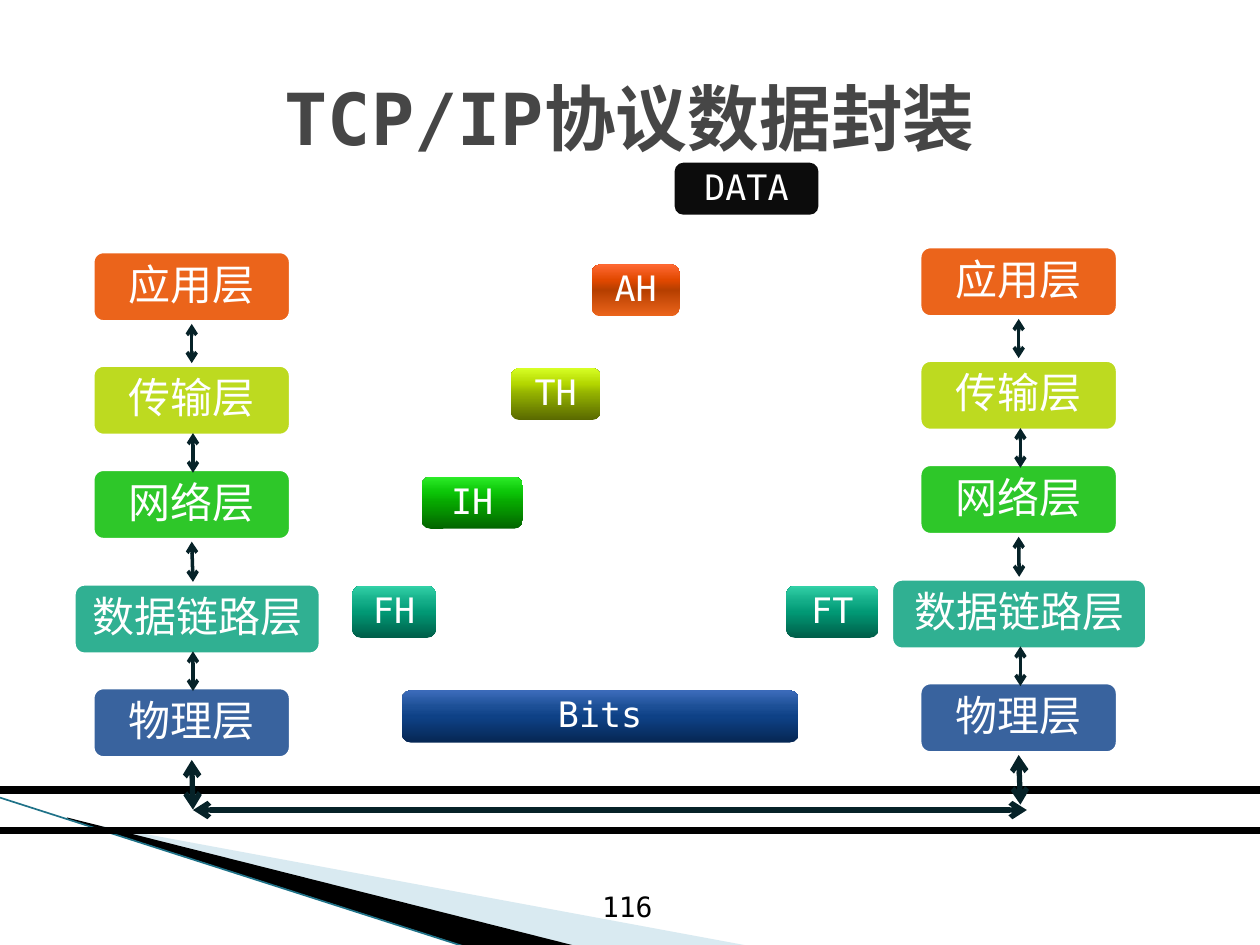
from lxml import etree
from pptx import Presentation
from pptx.dml.color import RGBColor
from pptx.enum.shapes import MSO_CONNECTOR, MSO_SHAPE
from pptx.enum.text import MSO_ANCHOR, PP_ALIGN
from pptx.oxml.ns import qn
from pptx.util import Cm, Pt

STRAIGHT = MSO_CONNECTOR.STRAIGHT
ROUNDED = MSO_SHAPE.ROUNDED_RECTANGLE
MIDDLE = MSO_ANCHOR.MIDDLE
CENTER = PP_ALIGN.CENTER
LEFT = PP_ALIGN.LEFT
TOP_SITE, BOTTOM_SITE = 0, 2

MONO, HAN = "DejaVu Sans Mono", "Noto Sans CJK SC"
WHITE, BLACK, ARROW = "FFFFFF", "000000", "062228"

TITLE = "TCP/IP协议数据封装"
PAGE_NUMBER = "116"
LAYERS = [
    ("应用层", 0, "EB641B"),
    ("传输层", 2.29, "BDDA20"),
    ("网络层", 4.39, "2EC729"),
    ("数据链路层", 6.7, "30B092"),
    ("物理层", 8.79, "39639E"),
]
LAYER_WIDTH, LAYER_HEIGHT = 4.07, 1.5
STACKS = [
    {"left": 1.83, "top": 5.03, "axis": 3.89, "wide": (1.45, 5.05)},
    {"left": 18.5, "top": 4.93, "axis": 20.57, "wide": (17.93, 5.23)},
]
ARROW_STEP, ARROW_LENGTH, TRUNK_LENGTH = 2.2, 0.8, 1.0
BUS_Y = 16.33
CABLE_EDGES = [15.93, 16.74]

STOPS = [0, 50, 70, 100]
ORANGE = ["EB641B", "B63F00", "E14800", "FF6933"]
LIME = ["596900", "91AE00", "B4D700", "D7FF25"]
GREEN = ["036500", "06A600", "0BC507", "2CEC28"]
TEAL = ["005E49", "019975", "12AC87", "32D1A7"]
BLUE = ["062754", "0E4186", "1D5097", "3D6CBB"]
UNIT_HEIGHT = 1.05
UNITS = [
    ("AH", 11.93, 5.33, 1.77, ORANGE),
    ("TH", 10.3, 7.42, 1.81, LIME),
    ("IH", 8.5, 9.61, 2.04, GREEN),
    ("FH", 7.1, 11.81, 1.69, TEAL),
    ("Bits", 8.1, 13.92, 8.0, BLUE),
    ("DATA", 13.6, 3.28, 2.9, ["0C0C0C"]),
    ("FT", 15.85, 11.81, 1.86, TEAL),
]
WEDGES = [
    ([(1.4, 16.53), (15.11, 19.07), (11.58, 19.07), (1.4, 16.51)], "A0CBDC", 40),
    ([(1.35, 16.48), (11.61, 19.07), (9.45, 19.1), (1.37, 16.51)], BLACK, 100),
]


def paint(color_format, value):
    color_format.rgb = RGBColor.from_string(value)


def apply(target, values):
    for name, value in values.items():
        setattr(target, name, value)


def write(frame, text, size, font, color, align=CENTER, bold=False):
    para = frame.paragraphs[0]
    para.alignment = align
    span = para.add_run()
    span.text = text
    apply(span.font, {"size": Pt(size), "name": font, "bold": bold})
    paint(span.font.color, color)
    etree.SubElement(span.font._element, qn("a:ea"), typeface=HAN)


def fill_solid(shape, color, alpha=100):
    shape.fill.solid()
    paint(shape.fill.fore_color, color)
    if alpha < 100:
        color_node = next(shape._element.spPr.iter(qn("a:srgbClr")))
        etree.SubElement(color_node, qn("a:alpha"), val=str(alpha * 1000))


def fill_gradient(shape, colors):
    shape.fill.gradient()
    shape.fill.gradient_angle = 90
    stop_list = next(shape._element.spPr.iter(qn("a:gsLst")))
    for old in list(stop_list):
        stop_list.remove(old)
    for position, color in zip(STOPS, colors):
        stop = etree.SubElement(stop_list, qn("a:gs"), pos=str(position * 1000))
        etree.SubElement(stop, qn("a:srgbClr"), val=color)


def add_box(page, place, text, size, font, colors, inset):
    box = page.shapes.add_shape(ROUNDED, *map(Cm, place))
    box.shadow.inherit = False
    box.adjustments[0] = 0.17
    if len(colors) > 1:
        fill_gradient(box, colors)
    else:
        fill_solid(box, colors[0])
    box.line.fill.background()
    side, edge = map(Cm, inset)
    apply(box.text_frame, {
        "vertical_anchor": MIDDLE, "word_wrap": True,
        "margin_left": side, "margin_right": side,
        "margin_top": edge, "margin_bottom": edge,
    })
    write(box.text_frame, text, size, font, WHITE)
    box.text_frame.paragraphs[0].line_spacing = 0.9
    return box


def add_line(page, start, end, color, width, arrows=False):
    line = page.shapes.add_connector(STRAIGHT, *map(Cm, start + end))
    paint(line.line.color, color)
    line.line.width = Pt(width)
    if arrows:
        for tag in ("a:headEnd", "a:tailEnd"):
            etree.SubElement(line.line._get_or_add_ln(), qn(tag), type="arrow")
    etree.SubElement(line._element.spPr, qn("a:effectLst"))
    return line


def add_wedge(page, points, color, alpha):
    corners = [(Cm(x), Cm(y)) for x, y in points]
    builder = page.shapes.build_freeform(*corners[0], scale=1.0)
    builder.add_line_segments(corners[1:], close=True)
    wedge = builder.convert_to_shape()
    wedge.shadow.inherit = False
    fill_solid(wedge, color, alpha)
    wedge.line.fill.background()


def middle(box):
    return box.left + box.width // 2


def add_stack(page, stack):
    boxes = []
    for text, offset, color in LAYERS:
        left, width = stack["wide"] if len(text) > 3 else (stack["left"], LAYER_WIDTH)
        place = (left, stack["top"] + offset, width, LAYER_HEIGHT)
        box = add_box(page, place, text, 24, HAN, [color], (0.28, 0.18))
        box.line.fill.solid()
        paint(box.line.color, WHITE)
        box.line.width = Pt(4.33)
        boxes.append(box)

    axis = stack["axis"]
    for index, (upper, lower) in enumerate(zip(boxes, boxes[1:])):
        y = stack["top"] + LAYER_HEIGHT + index * ARROW_STEP
        arrow = add_line(page, (axis, y), (axis, y + ARROW_LENGTH), ARROW, 2, True)
        if index % 2 == 0:
            arrow.begin_connect(upper, BOTTOM_SITE)
            if abs(middle(lower) - middle(upper)) < Cm(0.05):
                arrow.end_connect(lower, TOP_SITE)

    y = stack["top"] + LAYERS[-1][1] + LAYER_HEIGHT
    trunk = add_line(page, (axis, y), (axis, y + TRUNK_LENGTH), ARROW, 3, True)
    trunk.begin_connect(boxes[-1], BOTTOM_SITE)


def main():
    deck = Presentation()
    deck.slide_width, deck.slide_height = Cm(25.4), Cm(19.05)
    page = deck.slides.add_slide(deck.slide_layouts[5])

    for wedge in WEDGES:
        add_wedge(page, *wedge)
    add_line(page, (0, 16.08), (9.42, 19.1), "1F7288", 0.95)

    number = page.shapes.add_textbox(Cm(11.89), Cm(17.81), Cm(2.21), Cm(1.24))
    number.text_frame.word_wrap = True
    write(number.text_frame, PAGE_NUMBER, 16, MONO, BLACK, LEFT)

    title = page.shapes.title
    apply(title, {"left": Cm(1.27), "top": Cm(0.76), "width": Cm(22.86), "height": Cm(3.18)})
    title.text_frame.vertical_anchor = MIDDLE
    write(title.text_frame, TITLE, 41, MONO, "464646", bold=True)

    for y in CABLE_EDGES:
        add_line(page, (0, y), (25.4, y), BLACK, 4.33)
    add_line(page, (3.89, BUS_Y), (20.7, BUS_Y), ARROW, 3, True)
    for stack in STACKS:
        add_stack(page, stack)
    for text, left, top, width, colors in UNITS:
        add_box(page, (left, top, width, UNIT_HEIGHT), text, 20, MONO, colors, (0.18, 0.13))

    deck.save("out.pptx")


if __name__ == "__main__":
    main()
